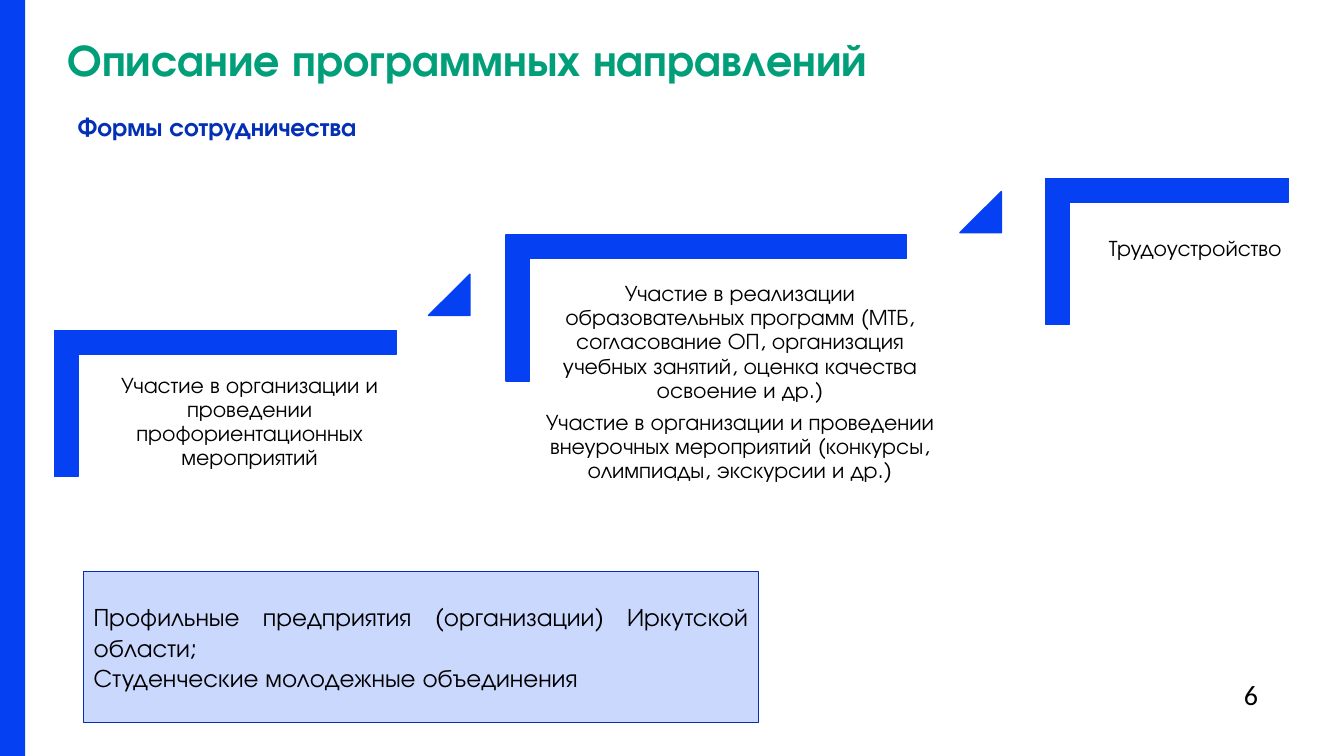
from dataclasses import dataclass

from pptx import Presentation
from pptx import util as u
from pptx.dml.color import RGBColor
from pptx.enum import shapes, text


@dataclass(frozen=True)
class Theme:
    font: str = "TeX Gyre Adventor"
    plain: str = "Calibri"
    green: str = "009F79"
    blue: str = "0540F2"
    navy: str = "0430B5"
    edge: str = "042FB3"
    pale: str = "CBD8FE"
    ink: str = "000000"
    title: int = 32
    page: int = 20
    head: int = 18
    step: int = 16


T = Theme()
WIDE, HIGH = u.Inches(13.33), u.Inches(7.5)
KIND = shapes.MSO_SHAPE
ALIGN = text.PP_ALIGN

# Steps: bracket (left, top, width), text box (left, top, width, height), lines
STEPS = [
    ((4.05, 43.73, 25.43), (6.53, 48.53, 24.08, 25.33),
     ["Участие в организации и проведении профориентационных мероприятий"]),
    ((37.66, 31.07, 29.78), (39.16, 36.4, 31.81, 36),
     ["Участие в реализации образовательных программ (МТБ, согласование ОП, "
      "организация учебных занятий, оценка качества освоение и др.)",
      "Участие в организации и проведении внеурочных мероприятий "
      "(конкурсы, олимпиады, экскурсии и др.)"]),
    ((77.79, 23.6, 18.08), (80.8, 30.4, 16.28, 25.33), ["Трудоустройство"]),
]
MARKS = [(31.88, 36.27), (71.42, 25.33)]


def area(left, top, width, height):
    """Turn percent shares of the slide into lengths."""
    return [u.Emu(int(share * side / 100)) for share, side in
            ((left, WIDE), (top, HIGH), (width, WIDE), (height, HIGH))]


def write(frame, lines, size, color=T.ink, font=T.font, bold=False,
          align=ALIGN.LEFT, space=None, after=0, inset=None, wrap=True,
          anchor=text.MSO_ANCHOR.TOP):
    frame.word_wrap = wrap
    frame.vertical_anchor = anchor
    if inset is not None:
        frame.margin_left = frame.margin_right = u.Inches(inset)
        frame.margin_top = frame.margin_bottom = u.Inches(inset)
    for i, line in enumerate(lines):
        para = frame.add_paragraph() if i else frame.paragraphs[0]
        para.alignment = align
        para.space_after = u.Pt(after)
        if space:
            para.line_spacing = space
        run = para.add_run()
        run.text = line
        run.font.name, run.font.size, run.font.bold = font, u.Pt(size), bold
        run.font.color.rgb = RGBColor.from_string(color)


def label(slide, place, lines, size, **style):
    box = slide.shapes.add_textbox(*area(*place))
    write(box.text_frame, lines, size, **style)


def block(slide, kind, place, fill=T.blue, line=None):
    shape = slide.shapes.add_shape(kind, *place)
    shape.shadow.inherit = False
    shape.fill.solid()
    shape.fill.fore_color.rgb = RGBColor.from_string(fill)
    if line:
        shape.line.color.rgb = RGBColor.from_string(line)
        shape.line.width = u.Pt(1)
    else:
        shape.line.fill.background()
    return shape


def bracket(slide, left, top, width):
    x, y, w, h = area(left, top, width, 19.33)
    # A quarter turn swaps the sides about the same centre
    turn = (w - h) // 2
    shape = block(slide, KIND.CORNER, (x + turn, y - turn, h, w), line=T.blue)
    shape.rotation = 90
    shape.adjustments[0] = shape.adjustments[1] = 0.161


def mark(slide, left, top):
    shape = block(slide, KIND.ISOSCELES_TRIANGLE,
                  area(left, top, 3.08, 5.47), line=T.blue)
    shape.adjustments[0] = 1


def main():
    deck = Presentation()
    deck.slide_width, deck.slide_height = WIDE, HIGH
    slide = deck.slides.add_slide(deck.slide_layouts[6])

    # Page number, headings and side bar
    label(slide, (91.82, 88.93, 3.98, 5.87), ["6"], T.page,
          font=T.plain, wrap=False)
    label(slide, (5.03, 5.33, 89.5, 6.53), ["Описание программных направлений"],
          T.title, color=T.green, bold=True, space=u.Pt(T.title), inset=0)
    block(slide, KIND.RECTANGLE, area(0, 0, 1.88, 100))
    label(slide, (5.03, 14.13, 68.57, 5.33), ["Формы сотрудничества"],
          T.head, color=T.navy, bold=True)

    # Rising steps
    for frame, place, lines in STEPS:
        bracket(slide, *frame)
        label(slide, place, lines, T.step, align=ALIGN.CENTER,
              space=0.9, after=5.6, inset=0.07)
    for place in MARKS:
        mark(slide, *place)

    # Partners
    panel = block(slide, KIND.RECTANGLE, area(6.23, 75.6, 50.19, 20),
                  fill=T.pale, line=T.edge)
    write(panel.text_frame,
          ["Профильные предприятия (организации) Иркутской области;",
           "Студенческие молодежные объединения"],
          T.head, align=ALIGN.JUSTIFY, anchor=text.MSO_ANCHOR.MIDDLE)

    deck.save("out.pptx")


if __name__ == "__main__":
    main()
